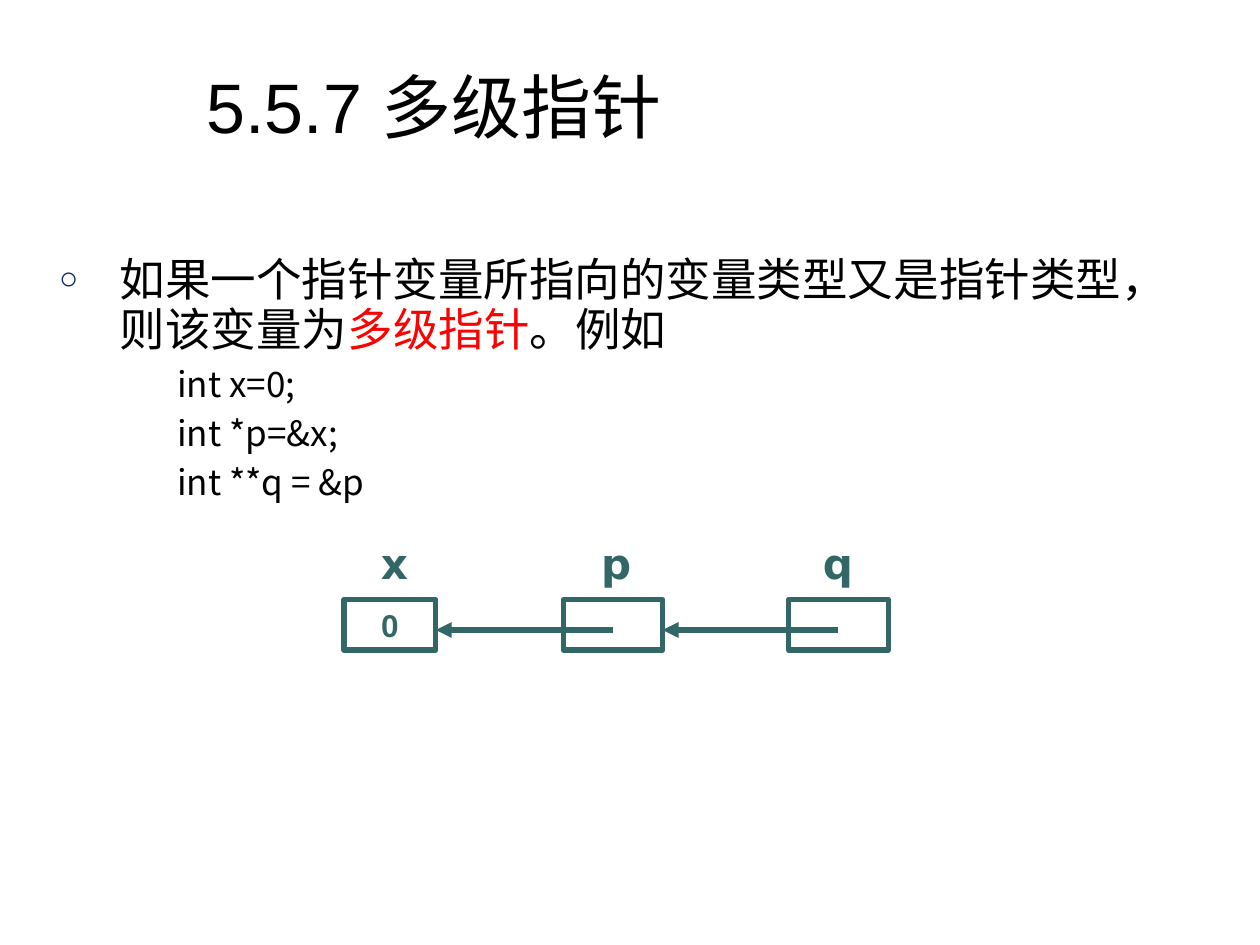
import pptx
import pptx.util
import pptx.dml.color
import pptx.enum.shapes
import pptx.enum.text
from pptx.oxml.ns import qn
from lxml import etree

Inches, Pt = pptx.util.Inches, pptx.util.Pt
PP = pptx.enum.text.PP_ALIGN
MID = pptx.enum.text.MSO_ANCHOR.MIDDLE
FIT = pptx.enum.text.MSO_AUTO_SIZE.NONE
CJK = "Noto Sans CJK SC"
TEAL, BLACK, RED = "336666", "000000", "FF0000"

# Content
TITLE = "5.5.7 多级指针"
LEAD = [
    ("如果一个指针变量所指向的变量类型又是指针类型，则该变量为", BLACK),
    ("多级指针", RED),
    ("。例如", BLACK),
]
CODE = ["       int x=0;", "       int *p=&x;", "       int **q = &p"]
# name, value, box left, box width, label centre
CELLS = [
    ("x", "0", 2.73, 0.73, 3.13),
    ("p", "", 4.47, 0.79, 4.89),
    ("q", "", 6.26, 0.79, 6.65),
]
ROW, HIGH = 4.76, 0.4


def color(text):
    return pptx.dml.color.RGBColor.from_string(text)


def sub(node, tag, **attrs):
    return etree.SubElement(node, qn(tag), attrs)


def style(para, size, face, tint, bold=False):
    font = para.font
    font.size, font.name, font.bold = Pt(size), face, bold
    font.color.rgb = color(tint)


def place(shape, left, top, width, height):
    shape.left, shape.top = Inches(left), Inches(top)
    shape.width, shape.height = Inches(width), Inches(height)


def indent(para, left, first, mark=None):
    props = para._p.get_or_add_pPr()
    props.set("marL", str(Inches(left)))
    props.set("indent", str(Inches(first)))
    if mark:
        sub(sub(props, "a:buClr"), "a:srgbClr", val="05255E")
        sub(props, "a:buSzPct", val="70000")
        sub(props, "a:buChar", char=mark)
    else:
        sub(props, "a:buNone")


def outline(line):
    line.color.rgb = color(TEAL)
    line.width = Pt(3)


deck = pptx.Presentation()
deck.slide_width, deck.slide_height = Inches(10), Inches(7.5)
slide = deck.slides.add_slide(deck.slide_layouts[1])
shapes = slide.shapes

# Title
title = shapes.title
place(title, 1.54, 0, 7.67, 1.67)
title.text_frame.text = TITLE
title.text_frame.auto_size = FIT
title.text_frame.vertical_anchor = MID
head = title.text_frame.paragraphs[0]
head.alignment = PP.LEFT
style(head, 40, "Arial", BLACK)

# Body: lead sentence, then code lines
body = slide.placeholders[1]
place(body, 0.37, 1.99, 8.98, 2.5)
frame = body.text_frame
frame.auto_size = FIT
lead = frame.paragraphs[0]
indent(lead, 0.48, -0.48, "○")
lead.space_before, lead.line_spacing = Pt(0), Pt(28)
style(lead, 26, CJK, BLACK)
for words, tint in LEAD:
    run = lead.add_run()
    run.text = words
    run.font.color.rgb = color(tint)
    sub(run.font._element, "a:ea", typeface=CJK)
for words in CODE:
    para = frame.add_paragraph()
    para.text = words
    indent(para, 0.81, -0.31)
    para.space_before, para.line_spacing = Pt(4), Pt(24)
    style(para, 20, CJK, BLACK)

# Memory cells with their names
for name, value, left, width, mid in CELLS:
    box = shapes.add_shape(pptx.enum.shapes.MSO_SHAPE.RECTANGLE, Inches(left),
                           Inches(ROW), Inches(width), Inches(HIGH))
    box.shadow.inherit = False
    box.fill.background()
    outline(box.line)
    if value:
        box.text_frame.text = value
        box.text_frame.vertical_anchor = MID
        para = box.text_frame.paragraphs[0]
        para.alignment = PP.CENTER
        style(para, 18, "Arial", TEAL, True)
    label = shapes.add_textbox(Inches(mid - 0.22), Inches(4.22),
                               Inches(0.44), Inches(0.51))
    label.text_frame.text = name
    label.text_frame.word_wrap = False
    para = label.text_frame.paragraphs[0]
    para.alignment = PP.CENTER
    style(para, 24, "DejaVu Sans", TEAL, True)

# Each pointer runs from the middle of its cell to the cell before it
for prior, cell in zip(CELLS, CELLS[1:]):
    start, end = cell[2] + cell[3] / 2, prior[2] + prior[3]
    arrow = shapes.add_connector(pptx.enum.shapes.MSO_CONNECTOR.STRAIGHT,
                                 Inches(start), Inches(5),
                                 Inches(end), Inches(5))
    outline(arrow.line)
    sub(arrow.line._get_or_add_ln(), "a:tailEnd", type="triangle")
    sub(arrow._element.spPr, "a:effectLst")

deck.save("out.pptx")
